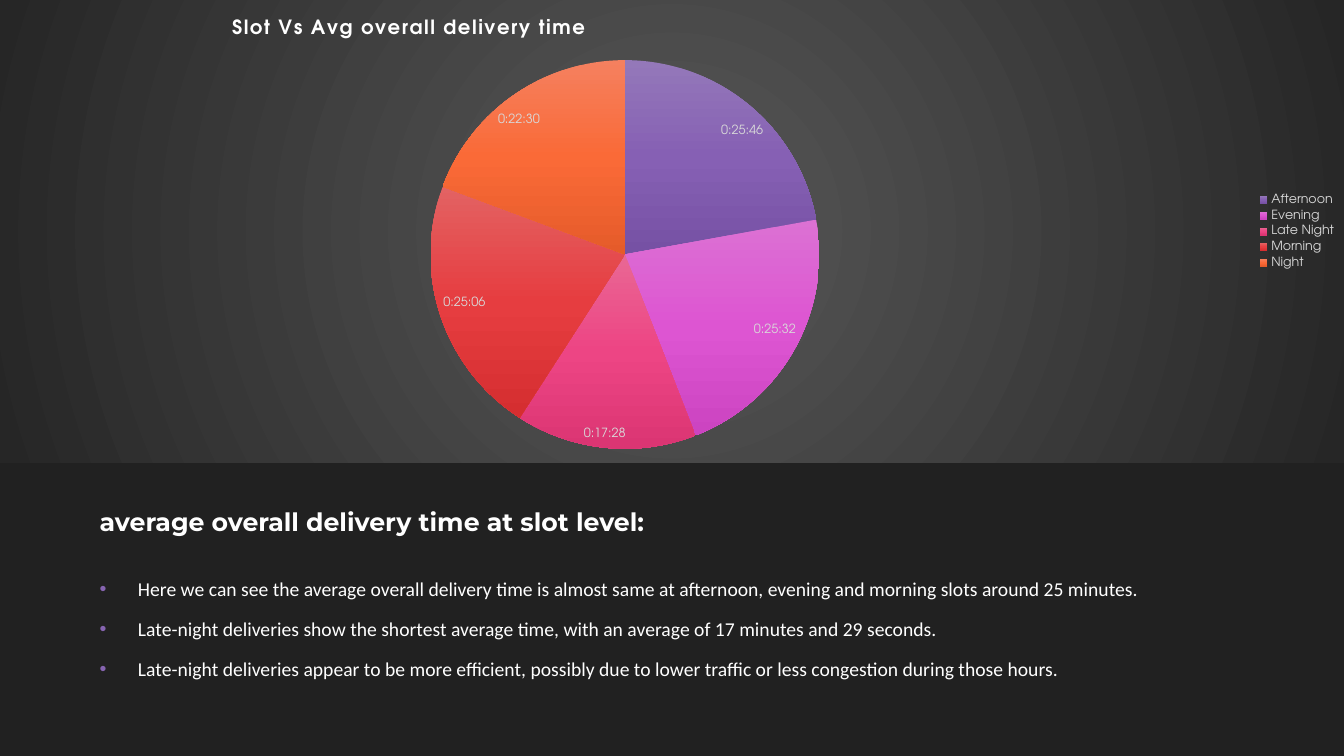
from lxml import etree
from pptx import Presentation
from pptx import util as u
from pptx.chart.data import CategoryChartData
from pptx.dml.color import RGBColor
from pptx.enum import chart as ch, text
from pptx.oxml import parse_xml
from pptx.oxml.ns import nsdecls, qn

W, H = 13.33, 7.5
THEME = {
    "bg": "212121", "white": "FFFFFF", "muted": "D9D9D9", "bullet": "8664B0",
    "backdrop": ["595959", "262626"],
    "heading_font": "Montserrat", "body_font": "Calibri", "chart_font": "TeX Gyre Adventor",
    "heading": 18, "body": 14, "chart_title": 14, "chart": 10, "label": 9,
}
# slot, minutes, seconds, gradient colours from top to bottom
SLOTS = [
    ("Afternoon", 25, 46, ["9478B9", "8660B4", "7651A4"]),
    ("Evening", 25, 33, ["DC71D3", "DD55D2", "CC44C1"]),
    ("Late Night", 17, 29, ["E96794", "ED4584", "DB3573"]),
    ("Morning", 25, 6, ["E36263", "E63D40", "D52E30"]),
    ("Night", 22, 30, ["F5805F", "FA6A37", "E55B2A"]),
]
FINDINGS = [
    "Here we can see the average overall delivery time is almost same at afternoon, evening and morning slots around 25 minutes.",
    "Late-night deliveries show the shortest average time, with an average of 17 minutes and 29 seconds.",
    "Late-night deliveries appear to be more efficient, possibly due to lower traffic or less congestion during those hours.",
]
SHADOW = (f'<a:effectLst {nsdecls("a")}><a:outerShdw blurRad="50800" dist="38100" dir="2700000">'
          '<a:srgbClr val="000000"><a:alpha val="50000"/></a:srgbClr></a:outerShdw></a:effectLst>')


def gradient(colors, direction):
    """Return a gradient fill with evenly spaced stops."""
    stops = "".join(f'<a:gs pos="{100000 * i // (len(colors) - 1)}"><a:srgbClr val="{c}"/></a:gs>'
                    for i, c in enumerate(colors))
    return parse_xml(f'<a:gradFill {nsdecls("a")} rotWithShape="1"><a:gsLst>{stops}</a:gsLst>{direction}</a:gradFill>')


def style(font, name, size, color, bold=False):
    font.name, font.size, font.bold = THEME[name], u.Pt(THEME[size]), bold
    font.color.rgb = RGBColor.from_string(THEME[color])


prs = Presentation()
prs.slide_width, prs.slide_height = u.Inches(W), u.Inches(H)
s = prs.slides.add_slide(prs.slide_layouts[6])
s.background.fill.solid()
s.background.fill.fore_color.rgb = RGBColor.from_string(THEME["bg"])

# Pie chart
data = CategoryChartData(number_format="[$-14009]h:mm:ss;@")
data.categories = [slot[0] for slot in SLOTS]
data.add_series("Series 1", [round((m * 60 + sec) / 86400, 6) for _, m, sec, _ in SLOTS])
chart = s.shapes.add_chart(ch.XL_CHART_TYPE.PIE, 0, 0, u.Inches(W), u.Inches(4.59), data).chart
style(chart.font, "chart_font", "chart", "white")
backdrop = parse_xml(f'<c:spPr {nsdecls("c", "a")}><a:ln><a:noFill/></a:ln></c:spPr>')
backdrop.insert(0, gradient(THEME["backdrop"],
                            '<a:path path="circle"><a:fillToRect l="50000" t="50000" r="50000" b="50000"/></a:path>'))
chart._chartSpace.find(qn("c:txPr")).addprevious(backdrop)

chart.has_title = True
r = chart.chart_title.text_frame.paragraphs[0].add_run()
r.text = "Slot Vs Avg overall delivery time"
style(r.font, "chart_font", "chart_title", "white", True)
r.font._element.set("spc", "100")
chart.has_legend = True
chart.legend.position = ch.XL_LEGEND_POSITION.RIGHT
chart.legend.include_in_layout = False
style(chart.legend.font, "chart_font", "label", "muted")

plot = chart.plots[0]
plot.vary_by_categories = True
for i, slot in enumerate(SLOTS):
    fmt = plot.series[0].points[i].format
    fmt.line.fill.background()
    fmt._element.get_or_add_spPr().insert(0, gradient(slot[3], '<a:lin ang="5400000" scaled="0"/>'))
plot.has_data_labels = True
labels = plot.data_labels
labels.show_value, labels.show_percentage = True, False
labels.number_format, labels.number_format_is_linked = "[$-14009]h:mm:ss;@", False
labels.position = ch.XL_LABEL_POSITION.BEST_FIT
style(labels.font, "chart_font", "label", "muted")

# Places of the chart parts, as shares of the chart: child index, then layout values
root = chart._chartSpace
for tag, index, places in [
    ("title", 1, {"x": 0.17, "y": 0.03}),
    ("plotArea", 0, {"x": 0.32, "y": 0.13, "w": 0.29, "h": 0.84}),
    ("legend", 1, {"x": 0.93, "y": 0.41, "w": 0.07, "h": 0.18}),
]:
    part = root.find(".//" + qn("c:" + tag))
    for old in part.findall(qn("c:layout")):
        part.remove(old)
    target = '<c:layoutTarget val="inner"/>' if tag == "plotArea" else ""
    modes = "".join(f'<c:{k}Mode val="edge"/>' for k in "xy")
    values = "".join(f'<c:{k} val="{v}"/>' for k, v in places.items())
    part.insert(index, parse_xml(f'<c:layout {nsdecls("c")}><c:manualLayout>{target}{modes}{values}'
                                 '</c:manualLayout></c:layout>'))

# Heading and findings
left, width = u.Inches(0.89), u.Inches(11.55)
tf = s.shapes.add_textbox(left, u.Inches(4.75), width, u.Inches(0.62)).text_frame
tf.word_wrap, tf.vertical_anchor = True, text.MSO_ANCHOR.BOTTOM
r = tf.paragraphs[0].add_run()
r.text = "average overall delivery time at slot level:"
style(r.font, "heading_font", "heading", "white", True)
r.font._element.find(qn("a:solidFill")).addnext(parse_xml(SHADOW))

tf = s.shapes.add_textbox(left, u.Inches(5.52), width, u.Inches(1.72)).text_frame
tf.word_wrap, tf.vertical_anchor = True, text.MSO_ANCHOR.MIDDLE
tf.margin_bottom = u.Inches(0.35)
for i, finding in enumerate(FINDINGS):
    p = tf.paragraphs[0] if i == 0 else tf.add_paragraph()
    p.line_spacing, p.space_before, p.space_after = 1.07, u.Pt(2.8), u.Pt(8)
    pPr = p._p.get_or_add_pPr()
    pPr.set("marL", str(u.Inches(0.38)))
    pPr.set("indent", str(-u.Inches(0.38)))
    color = etree.SubElement(pPr, qn("a:buClr"))
    etree.SubElement(color, qn("a:srgbClr"), val=THEME["bullet"])
    etree.SubElement(pPr, qn("a:buFont"), typeface="Arial")
    etree.SubElement(pPr, qn("a:buChar"), char="•")
    r = p.add_run()
    r.text = finding
    style(r.font, "body_font", "body", "white")
    r.font._element.find(qn("a:solidFill")).addnext(parse_xml(SHADOW))

prs.save("out.pptx")
